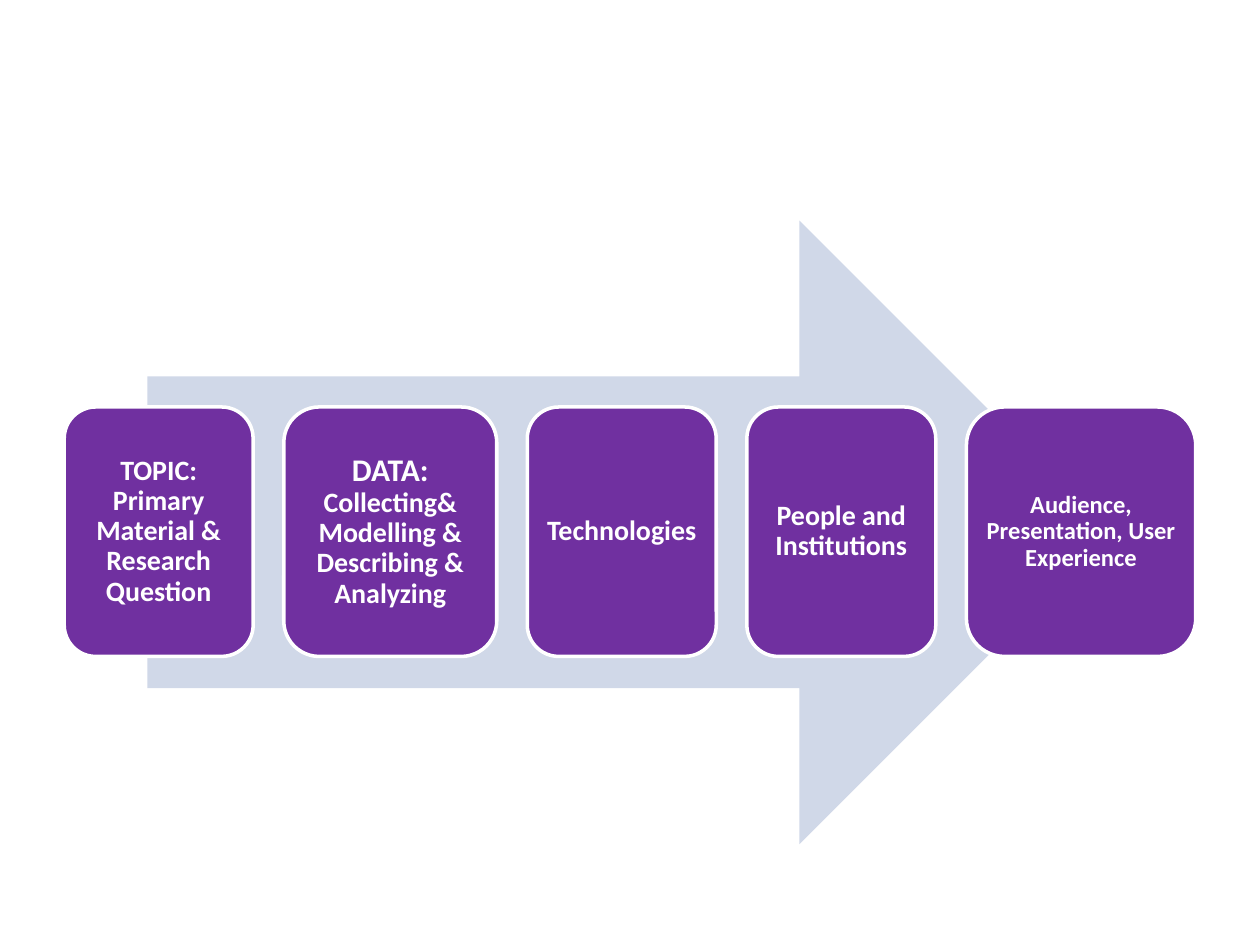
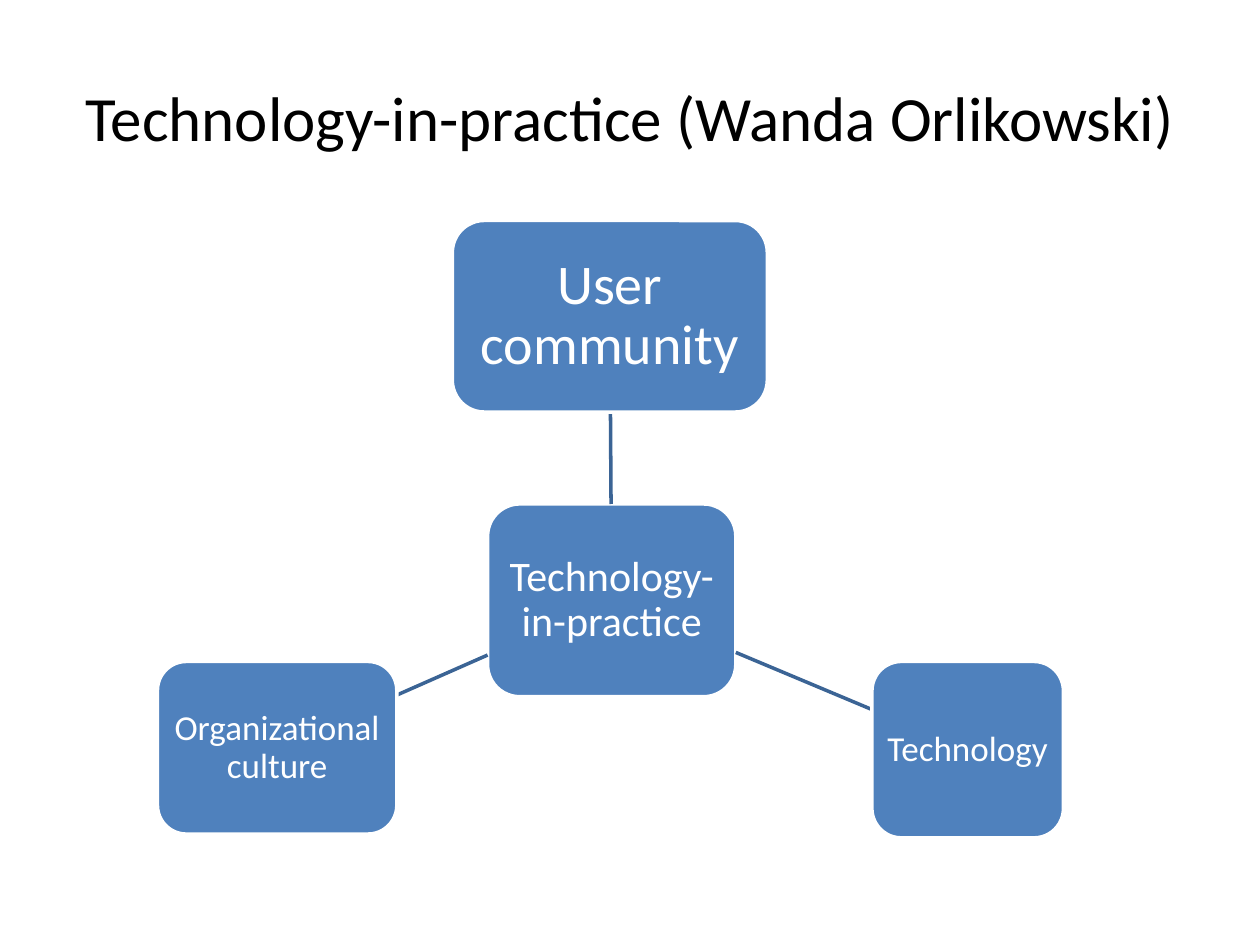
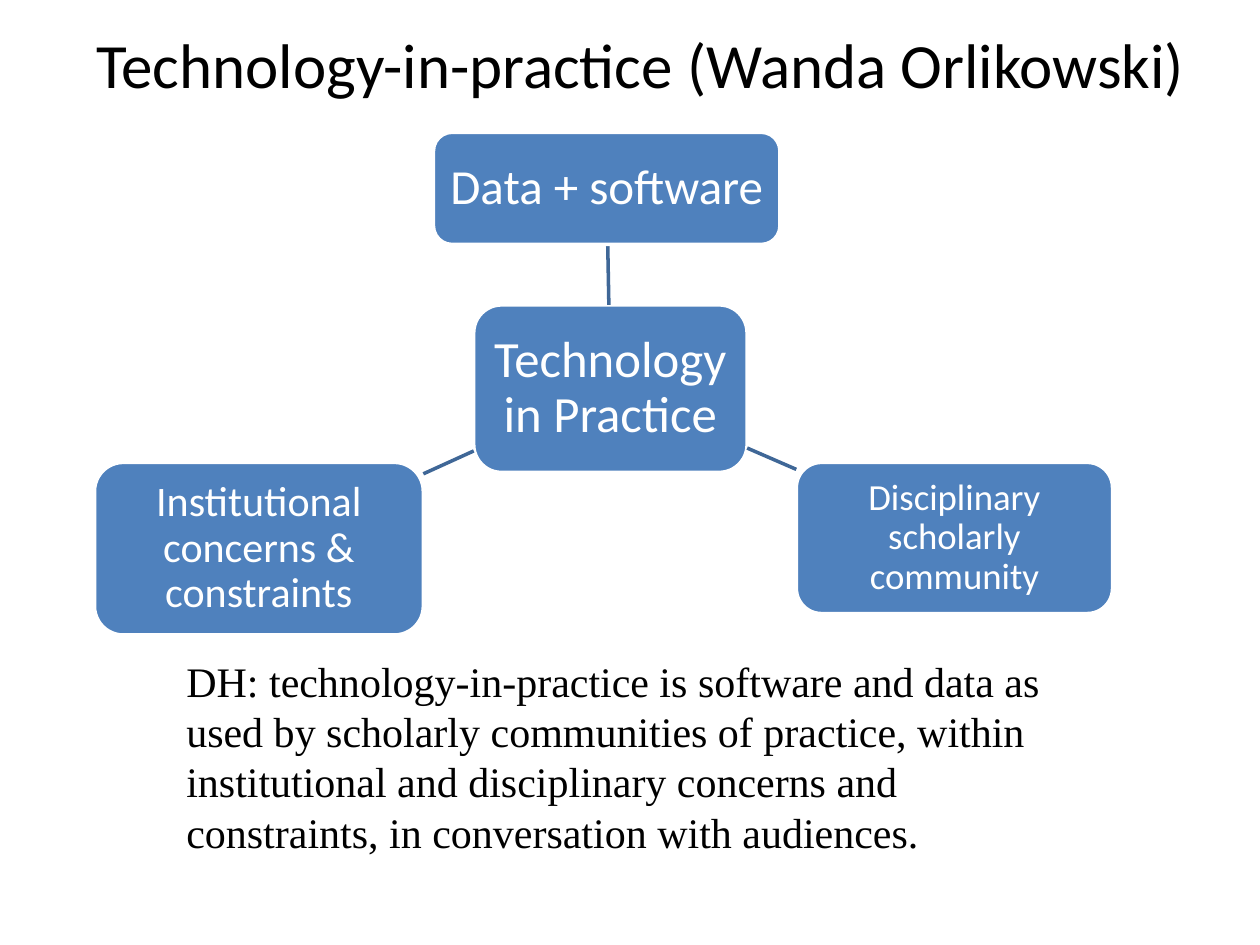
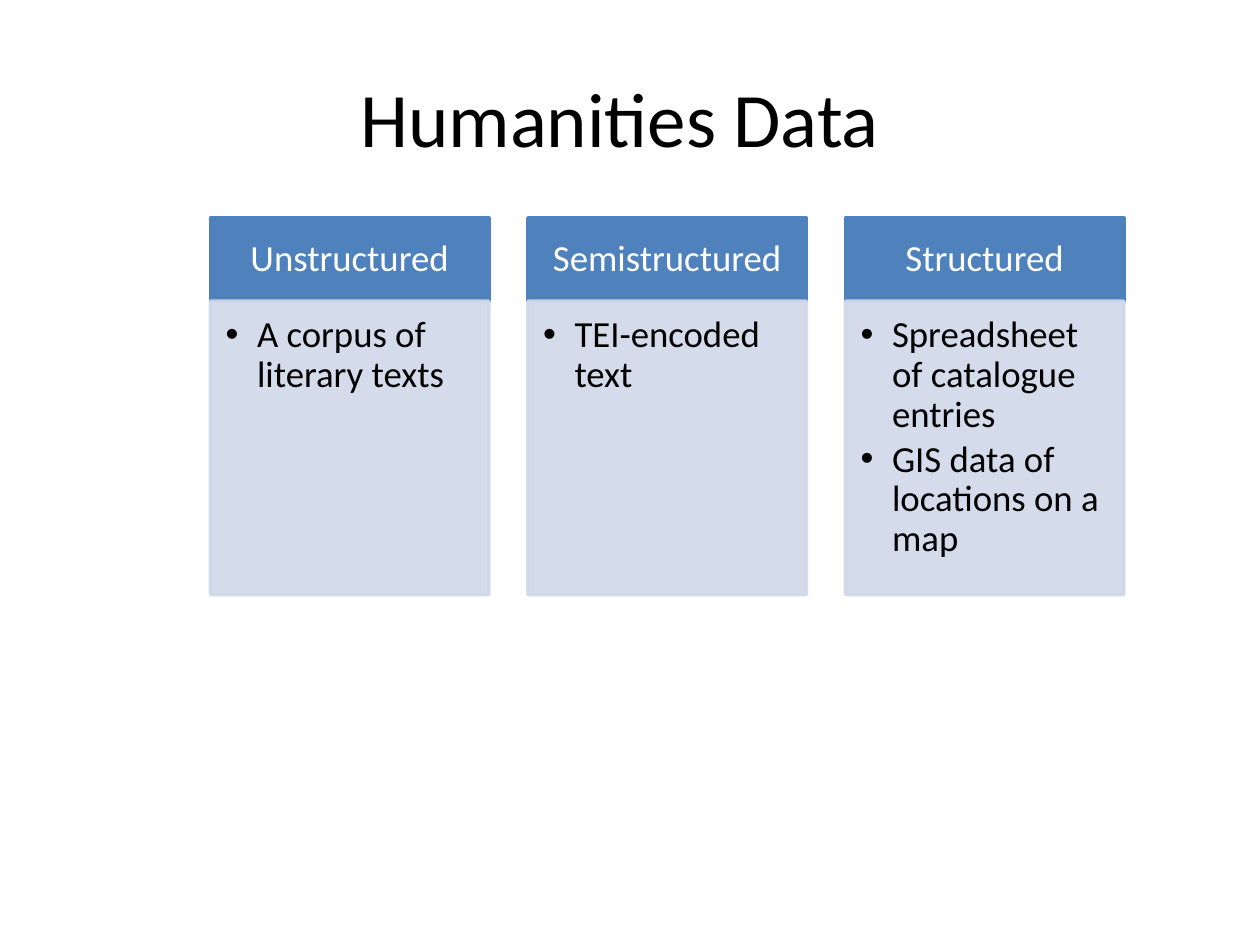
from dataclasses import dataclass

from lxml.etree import SubElement
from pptx import Presentation
from pptx.dml.color import RGBColor
from pptx.enum.shapes import MSO_CONNECTOR, MSO_SHAPE
from pptx.enum.text import MSO_ANCHOR as Anchor, PP_ALIGN as Align
from pptx.oxml.ns import qn
from pptx.shapes.autoshape import Shape
from pptx.slide import Slide
from pptx.util import Emu, Inches, Pt

WHITE = RGBColor(0xFF, 0xFF, 0xFF)
BLACK = RGBColor(0x00, 0x00, 0x00)
BLUE = RGBColor(0x4F, 0x81, 0xBD)
PALE_BLUE = RGBColor(0xD0, 0xD8, 0xE8)
PURPLE = RGBColor(0x70, 0x30, 0xA0)
LINK_BLUE = RGBColor(0x3B, 0x64, 0x95)
LINK_SLATE = RGBColor(0x3F, 0x67, 0x97)

SANS, SERIF = "Calibri", "Times New Roman"
SLIDE_WIDTH, SLIDE_HEIGHT = Inches(10), Inches(7.5)
COLUMNS = 40  # square cells: 40 columns by 30 rows
CELL = SLIDE_WIDTH / COLUMNS
LINE_WIDTH = Pt(2)
TIGHT = 0.9


@dataclass(frozen=True)
class Area:
    """A rectangle in grid columns and rows."""
    left: float
    top: float
    width: float
    height: float

    @property
    def center(self) -> tuple[float, float]:
        return self.left + self.width / 2, self.top + self.height / 2

    def edge_towards(self, other: "Area") -> tuple[float, float]:
        """Point where the line between the two centers leaves this area."""
        x, y = self.center
        dx, dy = other.center[0] - x, other.center[1] - y
        share = min(size / 2 / abs(delta)
                    for size, delta in ((self.width, dx), (self.height, dy)) if delta)
        return x + dx * share, y + dy * share


@dataclass(frozen=True)
class TextStyle:
    size: float
    color: RGBColor = WHITE
    font: str = SANS
    bold: bool = False
    align: Align = Align.CENTER
    anchor: Anchor = Anchor.MIDDLE
    spacing: float = TIGHT
    insets: tuple[float, float, float, float] = (0.2, 0.2, 0.2, 0.2)
    bullets: bool = False


@dataclass(frozen=True)
class Stage:
    text: str
    width: float
    size: float = 16
    lead: str = ""


@dataclass(frozen=True)
class Node:
    text: str
    size: float
    area: Area


@dataclass(frozen=True)
class DataKind:
    name: str
    examples: tuple[str, ...]


STAGE_LEFT, STAGE_TOP, STAGE_HEIGHT, STAGE_GAP = 2.04, 12.92, 7.92, 0.97
LEAD_SIZE = 18
STAGES = (
    Stage("TOPIC: Primary Material & Research Question", 6),
    Stage("Collecting& Modelling & Describing & Analyzing", 6.76, lead="DATA: "),
    Stage("Technologies", 6),
    Stage("People and Institutions", 6),
    Stage("Audience, Presentation, User Experience", 7.28, size=14),
)

PRACTICE_TITLE = "Technology-in-practice (Wanda Orlikowski)"
PRACTICE_HUB = Node("Technology-in-practice", 24, Area(15.48, 16, 7.88, 6.12))
PRACTICE_NODES = (
    Node("Technology", 20, Area(27.68, 21, 6.08, 5.6)),
    Node("User community", 32, Area(14.36, 7, 10, 6.08)),
    Node("Organizational culture", 20, Area(5, 21, 7.6, 5.48)),
)
DH_HUB = Node("Technology in Practice", 29, Area(15.04, 9.68, 8.68, 5.32))
DH_NODES = (
    Node("Data + software", 28, Area(13.76, 4.2, 11, 3.56)),
    Node("Disciplinary scholarly community", 21, Area(25.28, 14.68, 10.04, 4.8)),
    Node("Institutional concerns & constraints", 24, Area(3, 14.68, 10.44, 5.48)),
)
DH_NOTE = ("DH: technology-in-practice is software and data as used by scholarly "
           "communities of practice, within institutional and disciplinary concerns "
           "and constraints, in conversation with audiences.")

KIND_LEFT, KIND_TOP, KIND_WIDTH, KIND_STEP = 6.68, 6.92, 8.84, 10.08
HEADER_HEIGHT, BODY_HEIGHT = 2.64, 9.32
DATA_KINDS = (
    DataKind("Unstructured", ("A corpus of literary texts",)),
    DataKind("Semistructured", ("TEI-encoded text",)),
    DataKind("Structured", ("Spreadsheet of catalogue entries",
                            "GIS data of locations on a map")),
)
HEADER_STYLE = TextStyle(21)
EXAMPLE_STYLE = TextStyle(21, BLACK, align=Align.LEFT, anchor=Anchor.TOP,
                          insets=(0.48, 0.48, 0.64, 0.72), bullets=True)


def cells(count: float) -> Emu:
    return Emu(round(count * CELL))


def place(area: Area) -> tuple[Emu, ...]:
    return tuple(map(cells, (area.left, area.top, area.width, area.height)))


def write(shape: Shape, texts: tuple[str, ...], style: TextStyle, lead: str = "") -> None:
    """Fill a shape with paragraphs; lead is a larger opening of the first one."""
    frame = shape.text_frame
    frame.word_wrap = True
    frame.vertical_anchor = style.anchor
    (frame.margin_left, frame.margin_top,
     frame.margin_right, frame.margin_bottom) = map(cells, style.insets)
    for index, text in enumerate(texts):
        paragraph = frame.add_paragraph() if index else frame.paragraphs[0]
        paragraph.alignment = style.align
        paragraph.line_spacing = style.spacing
        if style.bullets:
            paragraph.space_after = Pt(3)
            add_bullet(paragraph)
        font = paragraph.font
        font.name, font.size, font.bold = style.font, Pt(style.size), style.bold
        font.color.rgb = style.color
        if lead and not index:
            run = paragraph.add_run()
            run.text = lead
            run.font.size = Pt(LEAD_SIZE)
        paragraph.add_run().text = text


def add_bullet(paragraph) -> None:
    properties = paragraph._p.get_or_add_pPr()
    indent = cells(1)
    properties.set("marL", str(indent))
    properties.set("indent", str(-indent))
    SubElement(properties, qn("a:buFont")).set("typeface", "Arial")
    SubElement(properties, qn("a:buChar")).set("char", "•")


def add_box(slide: Slide, preset: MSO_SHAPE, area: Area, fill: RGBColor,
            line: RGBColor | None = None) -> Shape:
    shape = slide.shapes.add_shape(preset, *place(area))
    shape.shadow.inherit = False
    shape.fill.solid()
    shape.fill.fore_color.rgb = fill
    if line is None:
        shape.line.fill.background()
    else:
        shape.line.color.rgb = line
        shape.line.width = LINE_WIDTH
    return shape


def set_opacity(shape: Shape, percent: int) -> None:
    for color in shape._element.spPr.iter(qn("a:srgbClr")):
        SubElement(color, qn("a:alpha")).set("val", str(percent * 1000))


def add_text(slide: Slide, text: str, area: Area, style: TextStyle) -> None:
    write(slide.shapes.add_textbox(*place(area)), (text,), style)


def add_title(slide: Slide, text: str, area: Area, size: float = 36) -> None:
    add_text(slide, text, area,
             TextStyle(size, BLACK, spacing=1, insets=(0.4, 0.2, 0.4, 0.2)))


def add_link(slide: Slide, start: Area, end: Area, color: RGBColor) -> None:
    points = (*start.edge_towards(end), *end.edge_towards(start))
    link = slide.shapes.add_connector(MSO_CONNECTOR.STRAIGHT, *map(cells, points))
    link.line.color.rgb = color
    link.line.width = LINE_WIDTH
    SubElement(link._element.spPr, qn("a:effectLst"))


def add_node(slide: Slide, node: Node) -> None:
    shape = add_box(slide, MSO_SHAPE.ROUNDED_RECTANGLE, node.area, BLUE, WHITE)
    write(shape, (node.text,), TextStyle(node.size))


def add_hub_diagram(slide: Slide, hub: Node, nodes: tuple[Node, ...],
                    link_color: RGBColor) -> None:
    add_node(slide, hub)
    for node in nodes:
        add_link(slide, hub.area, node.area, link_color)
        add_node(slide, node)


def build_process(slide: Slide) -> None:
    add_box(slide, MSO_SHAPE.RIGHT_ARROW, Area(4.68, 7, 30.6, 19.8), PALE_BLUE)
    left = STAGE_LEFT
    for stage in STAGES:
        area = Area(left, STAGE_TOP, stage.width, STAGE_HEIGHT)
        shape = add_box(slide, MSO_SHAPE.ROUNDED_RECTANGLE, area, PURPLE, WHITE)
        write(shape, (stage.text,), TextStyle(stage.size, bold=True), stage.lead)
        left += stage.width + STAGE_GAP


def build_practice(slide: Slide) -> None:
    add_title(slide, PRACTICE_TITLE, Area(2, 1.2, 36, 5))
    add_hub_diagram(slide, PRACTICE_HUB, PRACTICE_NODES, LINK_BLUE)


def build_dh_practice(slide: Slide) -> None:
    add_title(slide, PRACTICE_TITLE, Area(2, 0.32, 36.68, 3.36))
    add_text(slide, DH_NOTE, Area(5.52, 20.6, 29.68, 6.88),
             TextStyle(24, BLACK, SERIF, align=Align.LEFT, anchor=Anchor.TOP,
                       spacing=1, insets=(0.4, 0.2, 0.4, 0.2)))
    add_hub_diagram(slide, DH_HUB, DH_NODES, LINK_SLATE)


def build_data_kinds(slide: Slide) -> None:
    add_title(slide, "Humanities Data", Area(0.68, 1.2, 38, 5), 44)
    for index, kind in enumerate(DATA_KINDS):
        left = KIND_LEFT + index * KIND_STEP
        header = add_box(slide, MSO_SHAPE.RECTANGLE,
                         Area(left, KIND_TOP, KIND_WIDTH, HEADER_HEIGHT), BLUE, BLUE)
        write(header, (kind.name,), HEADER_STYLE)
        body = add_box(slide, MSO_SHAPE.RECTANGLE,
                       Area(left, KIND_TOP + HEADER_HEIGHT, KIND_WIDTH, BODY_HEIGHT),
                       PALE_BLUE, PALE_BLUE)
        set_opacity(body, 90)
        write(body, kind.examples, EXAMPLE_STYLE)


def main() -> None:
    presentation = Presentation()
    presentation.slide_width, presentation.slide_height = SLIDE_WIDTH, SLIDE_HEIGHT
    blank = presentation.slide_layouts[6]
    for build in (build_process, build_practice, build_dh_practice, build_data_kinds):
        build(presentation.slides.add_slide(blank))
    presentation.save("out.pptx")


if __name__ == "__main__":
    main()
